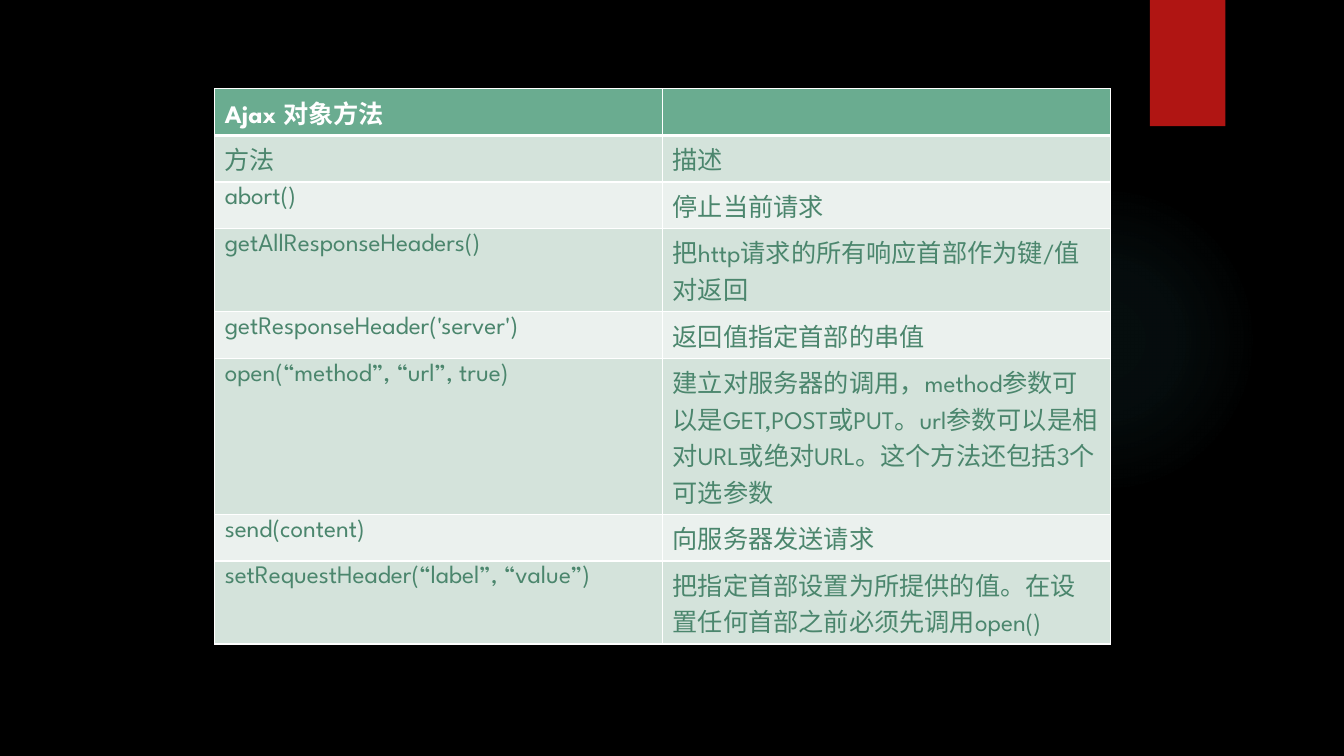
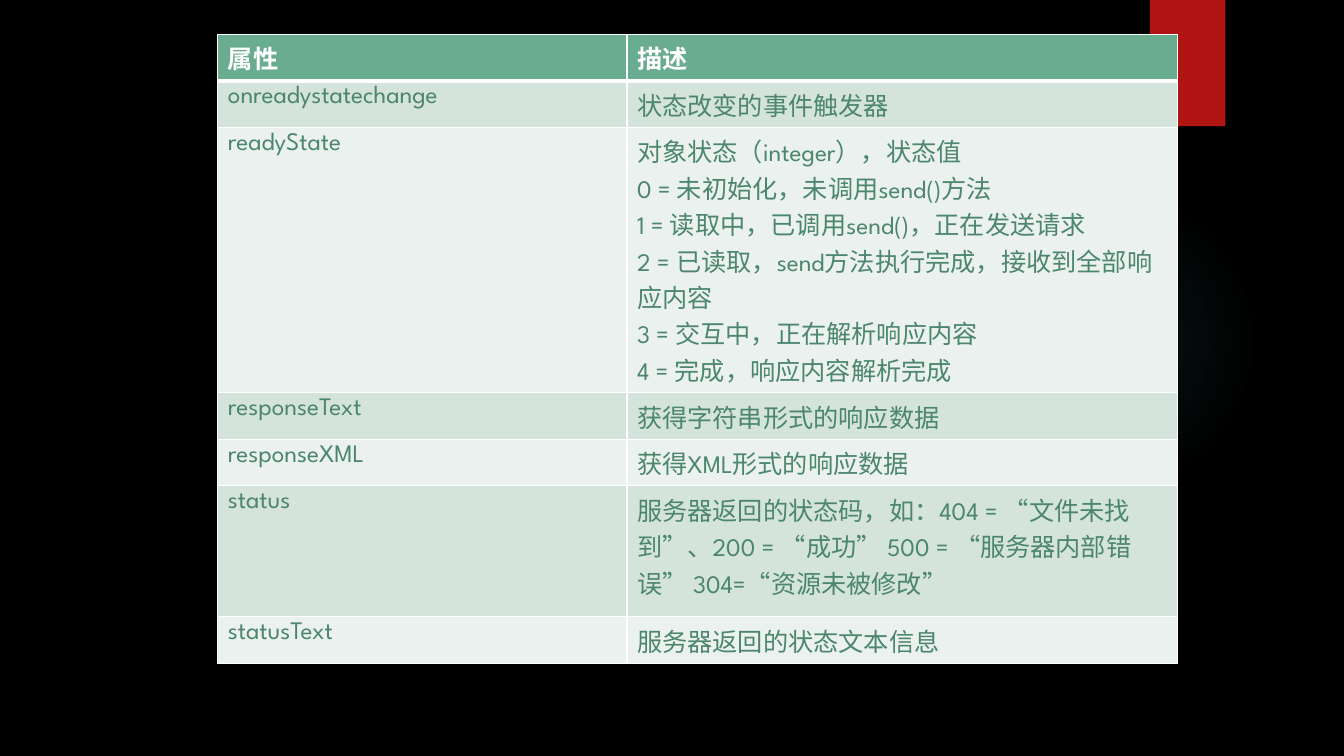
"""Build two slides with tables of the Ajax object's methods and properties."""
from lxml.etree import SubElement
from pptx import Presentation
from pptx.dml.color import RGBColor
from pptx.enum.shapes import MSO_SHAPE
from pptx.oxml import parse_xml
from pptx.oxml.ns import nsdecls, qn
from pptx.util import Cm, Pt

COLOURS = {
    "back": "000000", "glow": "50B9C1", "ribbon": "B01513", "shadow": "000000",
    "head": "6AAC90", "odd": "D4E3DB", "even": "EBF1EE",
    "head_text": "FFFFFF", "body_text": "4B866D", "border": "FFFFFF",
}
FONT = "League Spartan"
ROW_HEIGHT = 1.04
GLOW_STOPS = [(0, 7), (36, 6), (69, 0)]

METHODS = [
    ("Ajax 对象方法", ""),
    ("方法", "描述"),
    ("abort()", "停止当前请求"),
    ("getAllResponseHeaders()", "把http请求的所有响应首部作为键/值对返回"),
    ("getResponseHeader('server')", "返回值指定首部的串值"),
    ("open(“method”, “url”, true)",
     "建立对服务器的调用，method参数可以是GET,POST或PUT。url参数可以是相对URL或绝对URL。"
     "这个方法还包括3个可选参数"),
    ("send(content)", "向服务器发送请求"),
    ("setRequestHeader(“label”, “value”)",
     "把指定首部设置为所提供的值。在设置任何首部之前必须先调用open()"),
]
PROPERTIES = [
    ("属性", "描述"),
    ("onreadystatechange", "状态改变的事件触发器"),
    ("readyState",
     "对象状态（integer），状态值\n"
     "0 = 未初始化，未调用send()方法\n"
     "1 = 读取中，已调用send()，正在发送请求\n"
     "2 = 已读取，send方法执行完成，接收到全部响应内容\n"
     "3 = 交互中，正在解析响应内容\n"
     "4 = 完成，响应内容解析完成"),
    ("responseText", "获得字符串形式的响应数据"),
    ("responseXML", "获得XML形式的响应数据"),
    ("status",
     "服务器返回的状态码，如：404 = “文件未找到”、200 = “成功” 500 = “服务器内部错误” "
     "304=“资源未被修改”"),
    ("statusText", "服务器返回的状态文本信息"),
]
TABLES = [
    {"rows": METHODS, "at": (2.13 * 2.54, 2.24), "height": 12.75,
     "columns": (11.29, 11.29), "tall": {}},
    {"rows": PROPERTIES, "at": (5.49, 0.86), "height": 15.01,
     "columns": (10.31, 13.87), "tall": {5: 3.3}},
]


def colour(name):
    """Return the named colour."""
    return RGBColor.from_string(COLOURS[name])


def add_block(page, kind, *place):
    """Add a plain shape without outline or shadow."""
    block = page.shapes.add_shape(kind, *map(Cm, place))
    block.shadow.inherit = False
    block.line.fill.background()
    return block


def add_backdrop(page):
    """Add the round glow and the red ribbon with its soft shadow."""
    glow = add_block(page, MSO_SHAPE.OVAL, 23.9, 4.65, 7.82, 7.82)
    stops = "".join(
        f'<a:gs pos="{place * 1000}"><a:srgbClr val="{COLOURS["glow"]}">'
        f'<a:alpha val="{alpha * 1000}"/></a:srgbClr></a:gs>'
        for place, alpha in GLOW_STOPS)
    properties = glow._element.spPr
    properties.find(qn("a:prstGeom")).addnext(parse_xml(
        f'<a:gradFill {nsdecls("a")} rotWithShape="1"><a:gsLst>{stops}</a:gsLst>'
        '<a:path path="circle"><a:fillToRect l="50000" t="50000" r="50000" b="50000"/>'
        '</a:path></a:gradFill>'))

    ribbon = add_block(page, MSO_SHAPE.RECTANGLE, 28.98, 0, 1.9, 3.18)
    ribbon.fill.solid()
    ribbon.fill.fore_color.rgb = colour("ribbon")
    effects = ribbon._element.spPr.find(qn("a:effectLst"))
    effects.append(parse_xml(
        f'<a:outerShdw {nsdecls("a")} blurRad="{Pt(3)}" dist="{Pt(2)}" dir="5400000" '
        f'rotWithShape="0"><a:srgbClr val="{COLOURS["shadow"]}"><a:alpha val="45000"/>'
        '</a:srgbClr></a:outerShdw>'))


def style_cell(cell, text, row):
    """Write one cell and give it its band, borders and type."""
    head = row == 0
    cell.text = text
    properties = cell._tc.get_or_add_tcPr()
    for side in "LRTB":
        heavy = (side == "B" and head) or (side == "T" and row == 1)
        line = SubElement(properties, qn(f"a:ln{side}"), w=str(Pt(3 if heavy else 1)))
        SubElement(SubElement(line, qn("a:solidFill")), qn("a:srgbClr"),
                   val=COLOURS["border"])
    cell.fill.solid()
    cell.fill.fore_color.rgb = colour("head" if head else "odd" if row % 2 else "even")
    style = {"size": Pt(18), "name": FONT, "bold": head}
    for para in cell.text_frame.paragraphs:
        for span in para.runs:
            for key, value in style.items():
                setattr(span.font, key, value)
            span.font.color.rgb = colour("head_text" if head else "body_text")


def add_grid(page, rows, at, height, columns, tall):
    """Add a two-column table whose rows grow with their text."""
    frame = page.shapes.add_table(len(rows), len(columns), *map(Cm, at),
                                  Cm(sum(columns)), Cm(height))
    grid = frame.table
    for column, width in zip(grid.columns, columns):
        column.width = Cm(width)
    for number, texts in enumerate(rows):
        grid.rows[number].height = Cm(tall.get(number, ROW_HEIGHT))
        for place, text in enumerate(texts):
            style_cell(grid.cell(number, place), text, number)
    frame.height = Cm(height)


deck = Presentation()
deck.slide_width, deck.slide_height = Cm(33.87), Cm(19.05)
backdrop = deck.slide_master.background.fill
backdrop.solid()
backdrop.fore_color.rgb = colour("back")
for table in TABLES:
    page = deck.slides.add_slide(deck.slide_layouts[6])
    add_backdrop(page)
    add_grid(page, **table)
deck.save("out.pptx")
